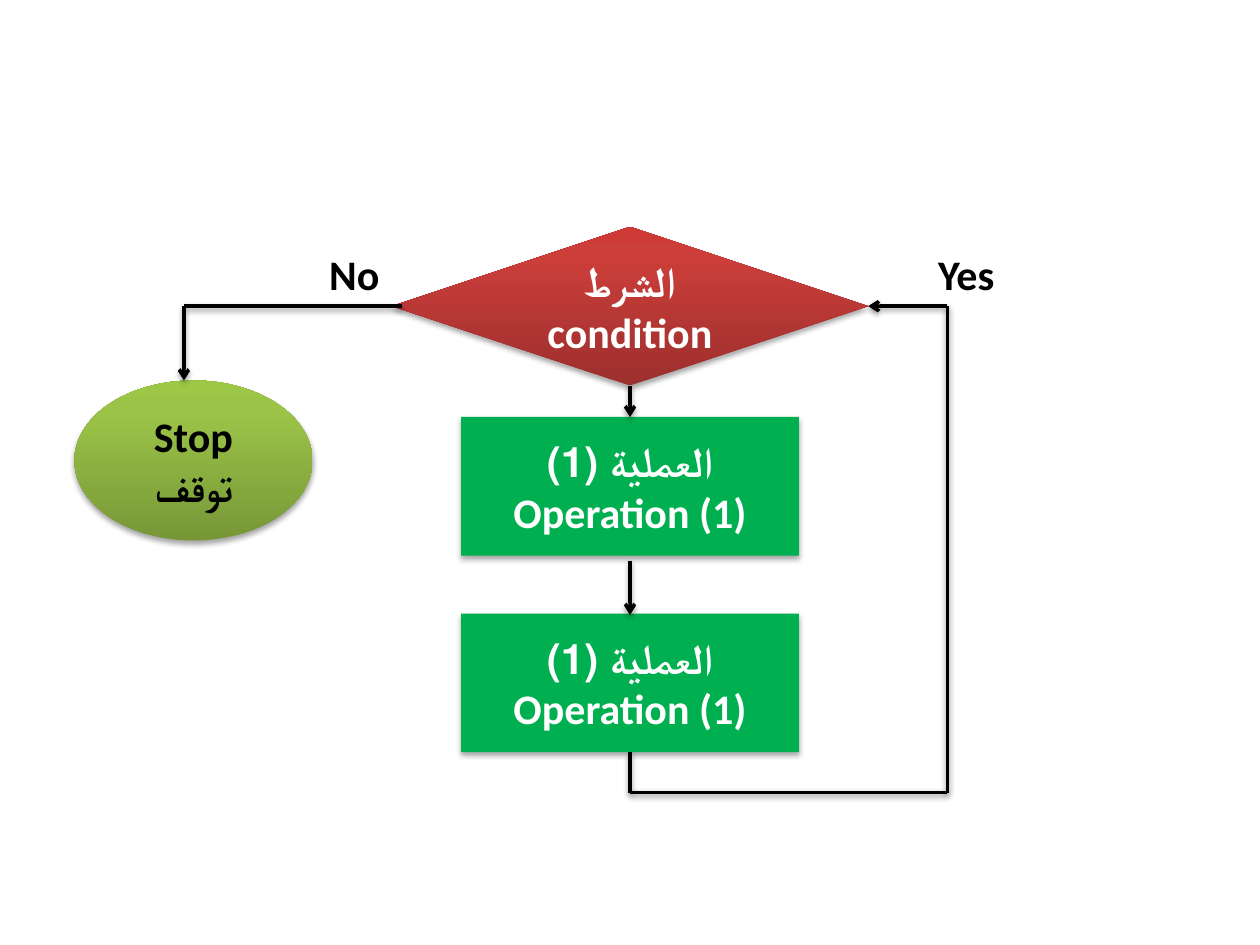
from copy import deepcopy

from lxml import etree
from pptx import Presentation
from pptx.dml.color import RGBColor
from pptx.enum import shapes, text
from pptx.oxml.ns import qn
from pptx.util import Inches, Pt

BLACK = RGBColor(0x00, 0x00, 0x00)
WHITE = RGBColor(0xFF, 0xFF, 0xFF)
GREEN = RGBColor(0x00, 0xB0, 0x50)
REDS = [RGBColor(0x9C, 0x2F, 0x2D), RGBColor(0xCB, 0x3E, 0x3A), RGBColor(0xCE, 0x3B, 0x37)]
LIMES = [RGBColor(0x77, 0x97, 0x37), RGBColor(0x9B, 0xC3, 0x48), RGBColor(0x9D, 0xC7, 0x46)]


def add_shadow(item, distance, opacity):
    effects = etree.SubElement(item._element.spPr, qn("a:effectLst"))
    shadow = etree.SubElement(
        effects, qn("a:outerShdw"), blurRad="40000", dist=str(distance),
        dir="5400000", rotWithShape="0")
    color = etree.SubElement(shadow, qn("a:srgbClr"), val="000000")
    etree.SubElement(color, qn("a:alpha"), val=str(opacity * 1000))


def write_text(box, words, color, alignment):
    box.text_frame.text = words
    for para in box.text_frame.paragraphs:
        para.alignment = alignment
        para._p.get_or_add_pPr().set("rtl", "1")
        for span in para.runs:
            span.font.name = "Calibri"
            span.font.size = Pt(24)
            span.font.bold = True
            span.font.color.rgb = color


deck = Presentation()
deck.slide_width = Inches(10)
deck.slide_height = Inches(7.5)
page = deck.slides.add_slide(deck.slide_layouts[6])

kinds = shapes.MSO_SHAPE
operation = "العملية (1) Operation (1)"
steps = [
    (kinds.DIAMOND, 3.11, 1.8, 3.78, 1.26, REDS, "الشرط condition", WHITE),
    (kinds.RECTANGLE, 3.66, 3.31, 2.68, 1.1, [GREEN], operation, WHITE),
    (kinds.RECTANGLE, 3.66, 4.87, 2.68, 1.1, [GREEN], operation, WHITE),
    (kinds.OVAL, 0.59, 3.02, 1.89, 1.27, LIMES, "Stop\nتوقف", BLACK),
]
for kind, left, top, width, height, colors, words, ink in steps:
    box = page.shapes.add_shape(kind, Inches(left), Inches(top), Inches(width), Inches(height))
    if len(colors) == 1:
        box.fill.solid()
        box.fill.fore_color.rgb = colors[0]
    else:
        box.fill.gradient()
        box.fill.gradient_angle = 90
        stops = box._element.spPr.find(qn("a:gradFill")).find(qn("a:gsLst"))
        stops.append(deepcopy(stops[-1]))
        for stop, position, color in zip(box.fill.gradient_stops, (0, 0.8, 1), colors):
            stop.position = position
            stop.color.rgb = color
    box.line.fill.background()
    add_shadow(box, 23000, 35)
    box.text_frame.word_wrap = True
    box.text_frame.vertical_anchor = text.MSO_ANCHOR.MIDDLE
    write_text(box, words, ink, text.PP_ALIGN.CENTER)

center, loop, stop_x = 5, 7.52, 1.46
branch, bottom = 2.43, 6.29
lines = [
    (center, 3.06, center, 3.31, True),
    (center, 4.45, center, 4.88, True),
    (loop, branch, 6.89, branch, True),
    (center, 5.97, center, bottom, False),
    (center, bottom, loop, bottom, False),
    (loop, branch, loop, bottom, False),
    (stop_x, branch, 3.19, branch, False),
    (stop_x, branch, stop_x, 3.02, True),
]
for x1, y1, x2, y2, has_arrow in lines:
    line = page.shapes.add_connector(
        shapes.MSO_CONNECTOR.STRAIGHT, Inches(x1), Inches(y1), Inches(x2), Inches(y2))
    line.line.color.rgb = BLACK
    line.line.width = Pt(2)
    if has_arrow:
        etree.SubElement(line._element.spPr.find(qn("a:ln")), qn("a:tailEnd"), type="arrow")
    add_shadow(line, 20000, 38)

for left, words in ((6.89, "Yes"), (2.01, "No")):
    label = page.shapes.add_textbox(Inches(left), Inches(1.92), Inches(1.1), Inches(0.5))
    label.text_frame.word_wrap = True
    label.text_frame.auto_size = text.MSO_AUTO_SIZE.SHAPE_TO_FIT_TEXT
    write_text(label, words, BLACK, text.PP_ALIGN.RIGHT)

deck.save("out.pptx")
